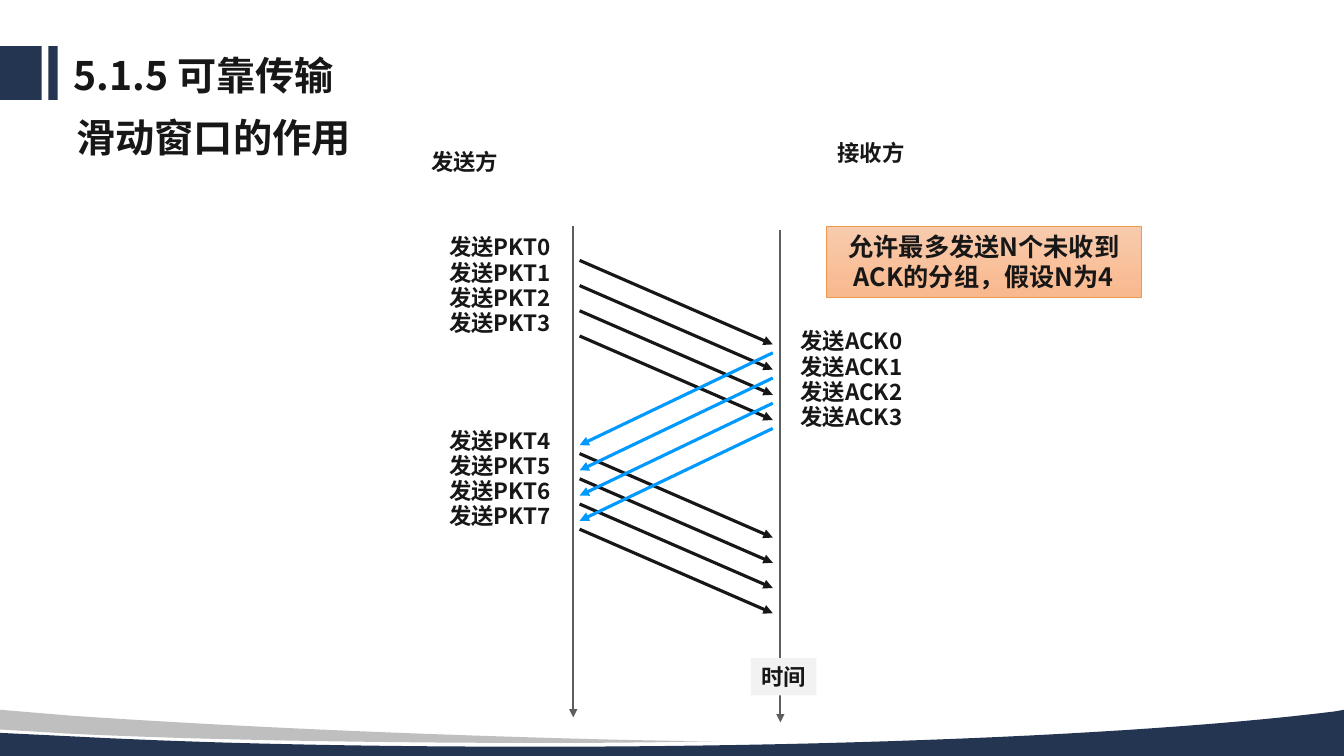
from dataclasses import dataclass

from lxml.etree import SubElement
from pptx import Presentation
from pptx.dml.color import RGBColor
from pptx.enum.shapes import MSO_CONNECTOR as Connector, MSO_SHAPE as Shape
from pptx.enum.text import MSO_ANCHOR as Anchor, PP_ALIGN as Align
from pptx.oxml.ns import qn
from pptx.util import Inches, Pt

COLUMNS, ROWS = 160, 90


@dataclass(frozen=True)
class Theme:
    navy: str = "243551"
    silver: str = "BFBFBF"
    ink: str = "171717"
    axis: str = "5E5E5E"
    ack: str = "0099FF"
    tag: str = "F2F2F2"
    note: tuple = ("F8CBAE", "F9B88D")
    note_edge: str = "EF994E"
    title_font: str = "Noto Sans CJK SC"
    body_font: str = "Noto Sans CJK JP"
    heading: int = 28
    callout: int = 18
    label: int = 16


def rgb(code):
    return RGBColor.from_string(code)


def cubic(start, first, second, end, steps=24):
    """Return points along a Bézier curve, without its start."""
    points = []
    for step in range(1, steps + 1):
        t = step / steps
        weights = ((1 - t) ** 3, 3 * t * (1 - t) ** 2, 3 * t * t * (1 - t), t ** 3)
        points.append(tuple(
            sum(w * p[axis] for w, p in zip(weights, (start, first, second, end)))
            for axis in (0, 1)))
    return points


def write(shape, text, *, size, font, color, align=Align.CENTER, anchor=Anchor.TOP,
          insets=(0.1, 0.05), wrap=True, line_spacing=None):
    frame = shape.text_frame
    frame.word_wrap = wrap
    frame.vertical_anchor = anchor
    frame.margin_left = frame.margin_right = Inches(insets[0])
    frame.margin_top = frame.margin_bottom = Inches(insets[1])
    para = frame.paragraphs[0]
    para.alignment = align
    if line_spacing:
        para.line_spacing = line_spacing
    span = para.add_run()
    span.text = text
    span.font.size = Pt(size)
    span.font.bold = True
    span.font.color.rgb = rgb(color)
    span.font.name = font
    SubElement(span._r.get_or_add_rPr(), qn("a:ea"), typeface=font)


class SlideBuilder:
    """Places elements on a grid of COLUMNS by ROWS."""

    def __init__(self, deck, theme):
        self.theme = theme
        self.cell_width = deck.slide_width / COLUMNS
        self.cell_height = deck.slide_height / ROWS
        self.page = deck.slides.add_slide(deck.slide_layouts[5])
        self.shapes = self.page.shapes

    def at(self, column, row):
        return round(column * self.cell_width), round(row * self.cell_height)

    def area(self, column, row, width, height):
        return *self.at(column, row), *self.at(width, height)

    def title(self, text, *area):
        box = self.shapes.title
        box.left, box.top, box.width, box.height = self.area(*area)
        write(box, text, size=self.theme.heading, font=self.theme.title_font,
              color=self.theme.ink, align=Align.LEFT, anchor=Anchor.MIDDLE,
              line_spacing=0.9)

    def text(self, text, *area, **style):
        box = self.shapes.add_textbox(*self.area(*area))
        self.write_body(box, text, **style)

    def write_body(self, box, text, **style):
        base = dict(size=self.theme.label, font=self.theme.body_font,
                    color=self.theme.ink)
        write(box, text, **(base | style))

    def block(self, *area, fill, edge=None, text=None, **style):
        """Add a rectangle; a pair of fill colours makes a downward gradient."""
        box = self.shapes.add_shape(Shape.RECTANGLE, *self.area(*area))
        box.shadow.inherit = False
        if isinstance(fill, tuple):
            box.fill.gradient()
            box.fill.gradient_angle = 270
            for stop, position, color in zip(box.fill.gradient_stops, (0, 1), fill):
                stop.position = position
                stop.color.rgb = rgb(color)
        else:
            box.fill.solid()
            box.fill.fore_color.rgb = rgb(fill)
        if edge:
            box.line.color.rgb = rgb(edge)
            box.line.width = Pt(0.5)
        else:
            box.line.fill.background()
        if text:
            self.write_body(box, text, **style)

    def arrow(self, start, end, color, width=2.25):
        line = self.shapes.add_connector(
            Connector.STRAIGHT, *self.at(*start), *self.at(*end))
        line.line.color.rgb = rgb(color)
        line.line.width = Pt(width)
        properties = line._element.spPr
        SubElement(properties.find(qn("a:ln")), qn("a:tailEnd"), type="triangle")
        SubElement(properties, qn("a:effectLst"))

    def wave(self, start, steps, color):
        """Fill an outline whose steps are one point (line) or three (curve)."""
        points = [start]
        for step in steps:
            points += cubic(points[-1], *step) if len(step) == 3 else step
        builder = self.shapes.build_freeform(*self.at(*start))
        builder.add_line_segments([self.at(*point) for point in points[1:]])
        shape = builder.convert_to_shape()
        shape.shadow.inherit = False
        shape.fill.solid()
        shape.fill.fore_color.rgb = rgb(color)
        shape.line.fill.background()


def draw_frame(slide, theme):
    for column, width in ((0, 4.95), (5.75, 1.1)):
        slide.block(column, 5.5, width, 6.4, fill=theme.navy)
    slide.wave((160, 84.5), [
        [(160, 90)], [(0, 90)], [(0, 87.25)], [(9.25, 87.7)],
        [(25.45, 88.55), (44.05, 88.9), (63.85, 88.9)],
        [(103.45, 88.9), (138.35, 87.25), (158.9, 84.7)],
    ], theme.navy)
    slide.wave((0, 84.5), [
        [(8.4, 85.2)],
        [(27.5, 86.5), (50, 87.5), (74.65, 88.1)],
        [(85.8, 88.3)], [(82.1, 88.3)],
        [(76.8, 88.4), (71.3, 88.45), (65.75, 88.45)],
        [(43.3, 88.45), (23, 88.05), (8.3, 87.35)],
        [(0, 86.85)],
    ], theme.silver)


def draw_exchange(slide, theme):
    sender, receiver = 69, 92
    window, pitch, round_trip = 4, 3, 23
    label = dict(insets=(0, 0))

    for column, top, bottom in ((68.25, 26.85, 85.4), (92.9, 27.4, 86)):
        slide.arrow((column, top), (column, bottom), theme.axis, width=1.5)
    slide.block(89.4, 78.35, 7.8, 4.45, fill=theme.tag, text="时间", wrap=False)

    for packet in range(2 * window):
        cycle, slot = divmod(packet, window)
        row = 31 + cycle * round_trip + slot * pitch
        slide.arrow((sender, row), (receiver, row + 10), theme.ink)
        slide.text(f"发送PKT{packet}", 48, row - 3.2, 23, 3.25, **label)
    for ack in range(window):
        row = 42 + ack * pitch
        slide.arrow((receiver, row), (sender, row + 11), theme.ack)
        slide.text(f"发送ACK{ack}", 94.7, row - 3, 13.3, 3.25, **label)


def main():
    theme = Theme()
    deck = Presentation()
    deck.slide_width, deck.slide_height = Inches(13.33), Inches(7.5)
    slide = SlideBuilder(deck, theme)
    draw_frame(slide, theme)
    slide.title("5.1.5 可靠传输", 7.55, 6.1, 119.8, 6.25)
    slide.text("滑动窗口的作用", 7.55, 13.45, 70, 5.65, size=theme.heading,
               align=Align.LEFT, anchor=Anchor.MIDDLE, insets=(0.13, 0.07))
    for party, column, row in (("发送方", 50, 17), ("接收方", 98.4, 16)):
        slide.text(party, column, row, 10.6, 4.45, wrap=False)
    draw_exchange(slide, theme)
    slide.block(98.4, 26.9, 37.45, 8.5, fill=theme.note, edge=theme.note_edge,
                text="允许最多发送N个未收到ACK的分组，假设N为4",
                size=theme.callout)
    deck.save("out.pptx")


if __name__ == "__main__":
    main()
